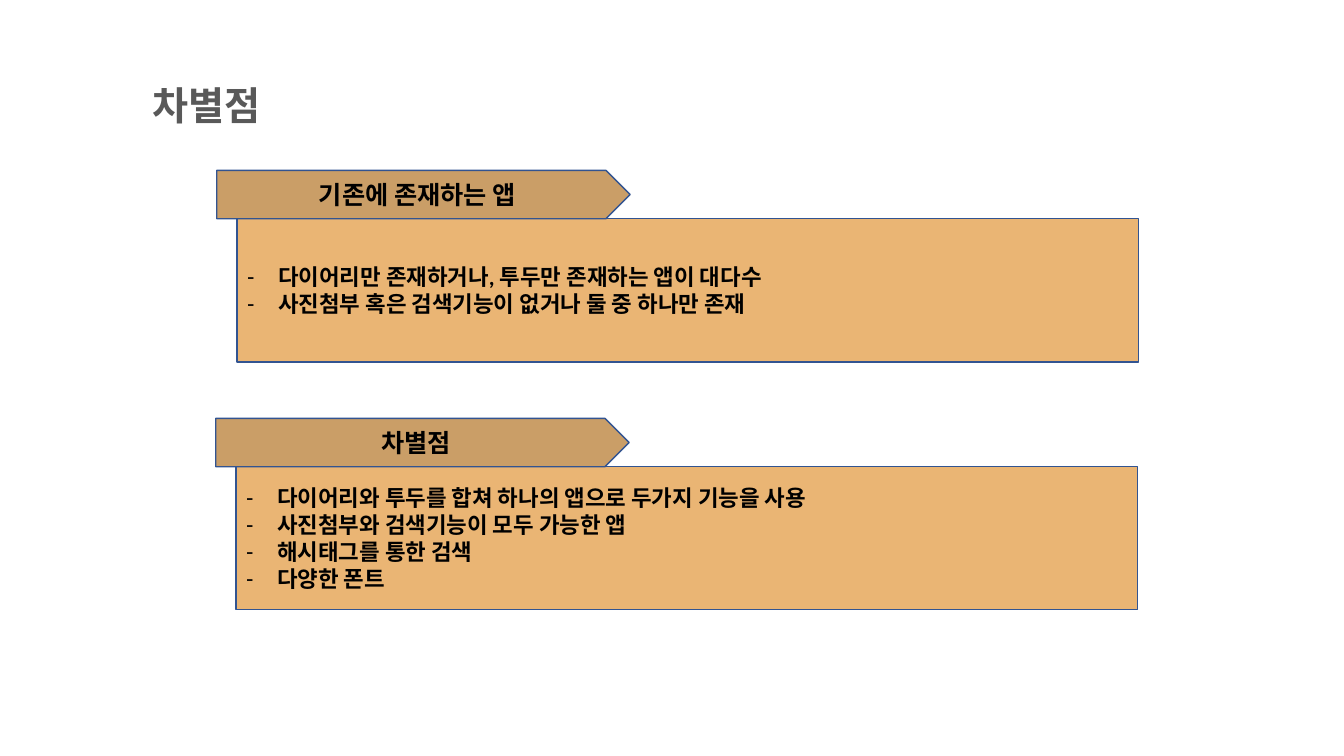
from lxml.etree import SubElement
from pptx import Presentation
from pptx.dml.color import RGBColor
from pptx.enum.shapes import MSO_SHAPE as SHAPE
from pptx.enum.text import MSO_ANCHOR as ANCHOR, MSO_AUTO_SIZE as AUTO, PP_ALIGN as ALIGN
from pptx.oxml.ns import qn
from pptx.util import Inches, Pt

COLORS = {"title": "595959", "text": "000000", "panel": "EAB574", "tab": "CA9E67", "line": "325491"}
FONT = "Calibri"
TAB_W, TAB_H = 4.1, 0.48
INDENT = 0.2
SECTIONS = [
    (2.15, 1.69, "기존에 존재하는 앱", [
        "다이어리만 존재하거나, 투두만 존재하는 앱이 대다수",
        "사진첨부 혹은 검색기능이 없거나 둘 중 하나만 존재",
    ]),
    (2.14, 4.15, "차별점", [
        "다이어리와 투두를 합쳐 하나의 앱으로 두가지 기능을 사용",
        "사진첨부와 검색기능이 모두 가능한 앱",
        "해시태그를 통한 검색",
        "다양한 폰트",
    ]),
]


def place(sp, x, y, w, h):
    """Move and size a shape, in inches."""
    sp.left, sp.top, sp.width, sp.height = (Inches(v) for v in (x, y, w, h))


def paint(sp, fill):
    """Give a shape its fill and outline."""
    sp.fill.solid()
    sp.fill.fore_color.rgb = RGBColor.from_string(COLORS[fill])
    sp.line.color.rgb = RGBColor.from_string(COLORS["line"])
    sp.line.width = Pt(1)


def style(p, size, color, align=ALIGN.LEFT):
    """Format a paragraph and its runs."""
    p.alignment = align
    p.space_before = Pt(0)
    for r in p.runs:
        r.font.name, r.font.size, r.font.bold = FONT, Pt(size), True
        r.font.color.rgb = RGBColor.from_string(COLORS[color])


def dash(p):
    """Add a hanging dash bullet to a paragraph."""
    pPr = p._p.get_or_add_pPr()
    pPr.set("marL", str(Inches(0.31)))
    pPr.set("indent", str(-Inches(0.31)))
    SubElement(pPr, qn("a:buChar")).set("char", "-")


def add_title(sp, text, x, y, w, h):
    """Fill the title placeholder."""
    place(sp, x, y, w, h)
    tf = sp.text_frame
    tf.text = text
    tf.auto_size = AUTO.NONE
    tf.vertical_anchor = ANCHOR.TOP
    style(tf.paragraphs[0], 28, "title")
    tf.paragraphs[0].line_spacing = 1.5


def add_panel(sp, items, x, y, w, h):
    """Turn a body placeholder into a filled panel with a dashed list."""
    place(sp, x, y, w, h)
    paint(sp, "panel")
    tf = sp.text_frame
    tf.text = "\n".join(items)
    tf.auto_size = AUTO.NONE
    tf.vertical_anchor = ANCHOR.MIDDLE
    for p in tf.paragraphs:
        style(p, 16, "text")
        dash(p)


def add_tab(s, text, x, y, w, h):
    """Draw the pentagon heading of a section."""
    sp = s.shapes.add_shape(SHAPE.PENTAGON, *(Inches(v) for v in (x, y, w, h)))
    sp.shadow.inherit = False
    paint(sp, "tab")
    tf = sp.text_frame
    tf.text = text
    tf.vertical_anchor = ANCHOR.MIDDLE
    style(tf.paragraphs[0], 18, "text", ALIGN.CENTER)


def add_section(s, body, heading, items, x, y, w, h):
    """Place a heading tab with its list panel below it."""
    add_panel(body, items, x + INDENT, y + TAB_H, w - INDENT, h - TAB_H)
    add_tab(s, heading, x, y, TAB_W, TAB_H)


def main():
    """Build and save the slide."""
    prs = Presentation()
    prs.slide_width, prs.slide_height = Inches(13.33), Inches(7.5)
    s = prs.slides.add_slide(prs.slide_layouts.get_by_name("Two Content"))
    title, *bodies = s.placeholders
    add_title(title, "차별점", 1.41, 0.52, 3.94, 0.72)
    for body, (x, y, heading, items) in zip(bodies, SECTIONS):
        add_section(s, body, heading, items, x, y, 9.14, 1.9)
    prs.save("out.pptx")


if __name__ == "__main__":
    main()
